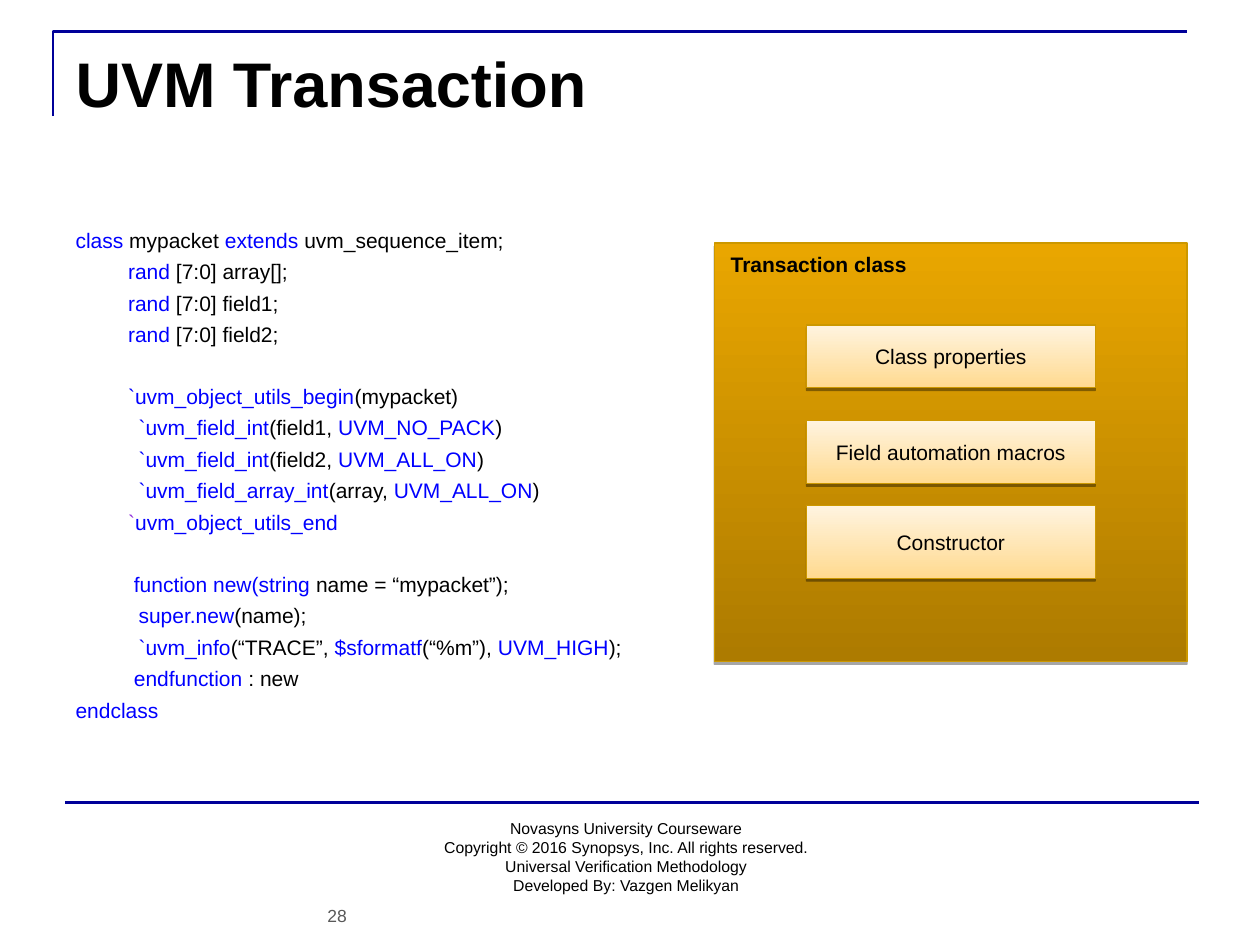
from lxml import etree
from pptx import Presentation
from pptx.dml.color import RGBColor
from pptx.enum.shapes import MSO_CONNECTOR, MSO_SHAPE
from pptx.enum.text import MSO_ANCHOR, MSO_AUTO_SIZE, PP_ALIGN
from pptx.oxml import parse_xml
from pptx.oxml.ns import nsdecls, qn
from pptx.util import Cm, Pt

BLACK = RGBColor(0x00, 0x00, 0x00)
GREY = RGBColor(0x59, 0x59, 0x59)
NAVY = RGBColor(0x00, 0x00, 0x99)
KEYWORD_BLUE = RGBColor(0x00, 0x00, 0xFF)
PURPLE = RGBColor(0x92, 0x34, 0xDB)
BORDER_GOLD = RGBColor(0xCC, 0x98, 0x00)
DARK_GOLD = RGBColor(0xAD, 0x7B, 0x00)
GOLD = RGBColor(0xE9, 0xA6, 0x00)
PEACH = RGBColor(0xFF, 0xDA, 0x90)
CREAM = RGBColor(0xFF, 0xF4, 0xE0)

# Pieces between bars alternate: plain, keyword, plain, keyword ...
# An empty line stands for a gap between blocks of code.
CODE = """\
|class| mypacket |extends| uvm_sequence_item;
         |rand| [7:0] array[];
         |rand| [7:0] field1;
         |rand| [7:0] field2;

         |`uvm_object_utils_begin|(mypacket)
\t|`uvm_field_int|(field1, |UVM_NO_PACK|)
\t|`uvm_field_int|(field2, |UVM_ALL_ON|)
\t|`uvm_field_array_int|(array, |UVM_ALL_ON|)
         |`||uvm_object_utils_end

          |function new(string |name = “mypacket”);
\t|super.new|(name);
\t|`uvm_info|(“TRACE”, |$sformatf|(“%m”), |UVM_HIGH|);
          |endfunction |: new
|endclass"""
LINE_GAP = 3.6
BLANK_LINE = 17.4


def style_text(text_frame, size, color=BLACK, bold=False, align=PP_ALIGN.LEFT):
    for paragraph in text_frame.paragraphs:
        paragraph.alignment = align
        for run in paragraph.runs:
            run.font.name = "Arial"
            run.font.size = Pt(size)
            run.font.bold = bold
            run.font.color.rgb = color


def add_gradient_box(shapes, left, top, width, height, bottom_color, top_color,
                     shadow_distance, shadow_opacity):
    """Add a gold-edged rectangle with a hard shadow straight below it."""
    box = shapes.add_shape(MSO_SHAPE.RECTANGLE, Cm(left), Cm(top), Cm(width), Cm(height))
    box.fill.gradient()
    box.fill.gradient_angle = 90
    for stop, color in zip(box.fill.gradient_stops, (bottom_color, top_color)):
        stop.color.rgb = color
    box.line.color.rgb = BORDER_GOLD
    box.line.width = Pt(0.75)
    box.shadow.inherit = False
    box._element.spPr.find(qn("a:effectLst")).append(parse_xml(
        f'<a:outerShdw {nsdecls("a")} blurRad="0" dist="{Pt(shadow_distance)}" '
        f'dir="5400000" rotWithShape="0"><a:srgbClr val="000000">'
        f'<a:alpha val="{shadow_opacity * 1000}"/></a:srgbClr></a:outerShdw>'))
    return box


presentation = Presentation()
presentation.slide_width, presentation.slide_height = Cm(25.4), Cm(19.05)
slide = presentation.slides.add_slide(presentation.slide_layouts[1])
shapes = slide.shapes

# Frame lines
builder = shapes.build_freeform(Cm(1.07), Cm(2.34))
builder.add_line_segments([(Cm(1.07), Cm(0.64)), (Cm(23.93), Cm(0.64))], close=False)
corner = builder.convert_to_shape()
corner.fill.background()
corner.shadow.inherit = False
footer_rule = shapes.add_connector(
    MSO_CONNECTOR.STRAIGHT, Cm(1.32), Cm(16.18), Cm(24.18), Cm(16.18))
etree.SubElement(footer_rule._element.spPr, qn("a:effectLst"))
for rule in (corner, footer_rule):
    rule.line.color.rgb = NAVY
    rule.line.width = Pt(1.5)

# Footer and slide number
footer = shapes.add_textbox(Cm(6.27), Cm(16.38), Cm(12.7), Cm(1.78))
footer.text_frame.word_wrap = True
footer.text_frame.text = "\n".join((
    "Novasyns University Courseware",
    "Copyright © 2016 Synopsys, Inc. All rights reserved.",
    "Universal Verification Methodology",
    "Developed By: Vazgen Melikyan",
))
style_text(footer.text_frame, 9, align=PP_ALIGN.CENTER)

number = shapes.add_textbox(Cm(6.35), Cm(18.11), Cm(1.07), Cm(0.69))
number.text_frame.word_wrap = True
number.text_frame.text = "28"
style_text(number.text_frame, 10, GREY)

# Title
title = shapes.title
title.left, title.top, title.width, title.height = Cm(1.27), Cm(0.76), Cm(22.86), Cm(3.18)
title.text_frame.text = "UVM Transaction"
title.text_frame.vertical_anchor = MSO_ANCHOR.TOP
title.text_frame.auto_size = MSO_AUTO_SIZE.NONE
style_text(title.text_frame, 36, bold=True)

# Code listing
body = slide.placeholders[1]
body.left, body.top, body.width, body.height = Cm(1.27), Cm(4.45), Cm(12.9), Cm(11.71)
code_frame = body.text_frame
code_frame.auto_size = MSO_AUTO_SIZE.NONE
paragraph = code_frame.paragraphs[0]
space_before = 0
for line in CODE.split("\n"):
    if not line:
        space_before += BLANK_LINE
        continue
    if paragraph.runs:
        paragraph = code_frame.add_paragraph()
    properties = paragraph._p.get_or_add_pPr()
    properties.set("marL", "0")
    properties.set("indent", "0")
    etree.SubElement(properties, qn("a:buNone"))
    paragraph.space_before = Pt(space_before)
    space_before = LINE_GAP
    for position, piece in enumerate(line.split("|")):
        if piece:
            run = paragraph.add_run()
            run.text = piece
            run.font.name = "Arial"
            run.font.size = Pt(12)
            run.font.color.rgb = KEYWORD_BLUE if position % 2 else BLACK
            if piece == "`":
                run.font.color.rgb = PURPLE

# Transaction class diagram
diagram = shapes.add_group_shape()
add_gradient_box(diagram.shapes, 14.4, 4.9, 9.53, 8.43, DARK_GOLD, GOLD, 1.8, 35)
label = diagram.shapes.add_textbox(Cm(14.48), Cm(4.95), Cm(4.09), Cm(0.76))
label.text_frame.word_wrap = False
label.text_frame.text = "Transaction class"
style_text(label.text_frame, 12, bold=True)

for text, top, height in (
    ("Class properties", 6.55, 1.27),
    ("Field automation macros", 8.48, 1.27),
    ("Constructor", 10.19, 1.47),
):
    member = add_gradient_box(diagram.shapes, 16.26, top, 5.82, height, PEACH, CREAM, 1.6, 38)
    member.text_frame.text = text
    member.text_frame.vertical_anchor = MSO_ANCHOR.MIDDLE
    style_text(member.text_frame, 12, align=PP_ALIGN.CENTER)

presentation.save("out.pptx")
